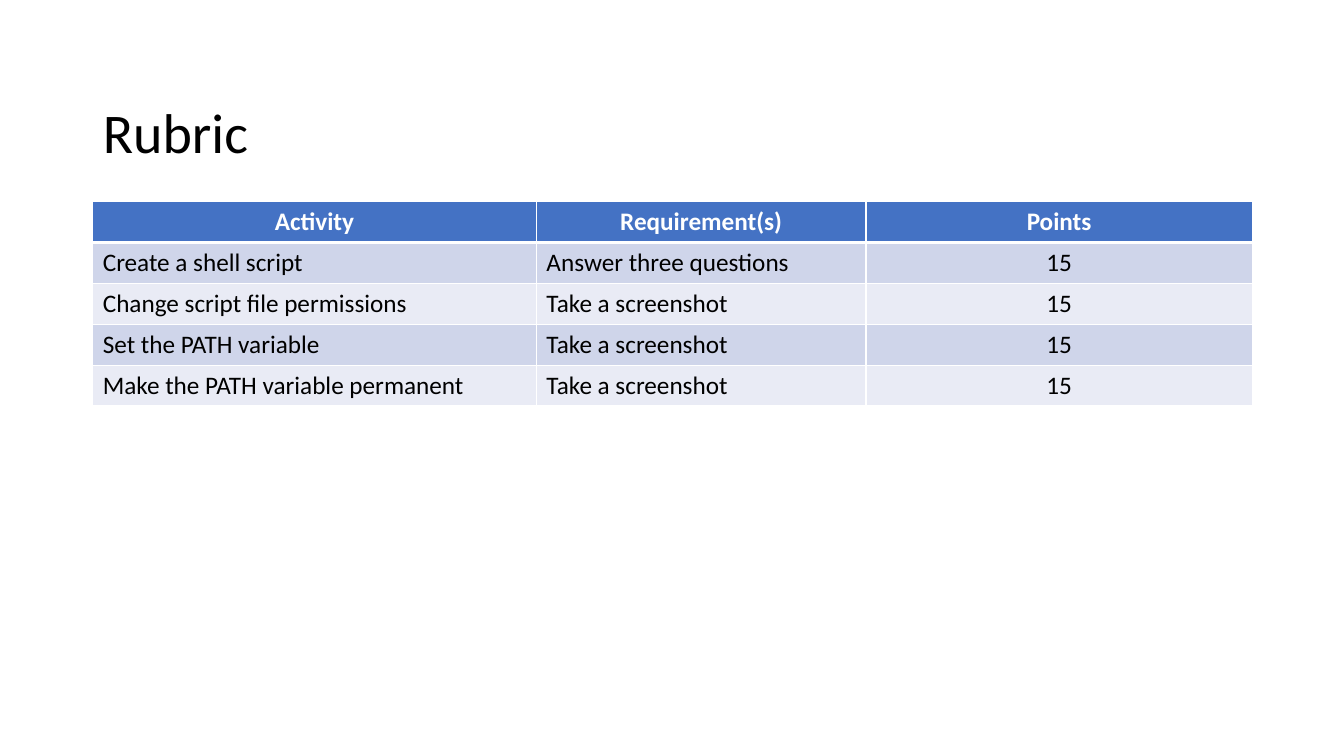
"""Build the rubric slide: a title above a table of activities, requirements and points."""
from dataclasses import dataclass
from typing import Any

from lxml import etree
from pptx import Presentation
from pptx import util as u
from pptx.dml import color
from pptx.enum import text
from pptx.oxml import ns


@dataclass(frozen=True)
class Theme:
    font: str = "Calibri"
    ink: str = "000000"
    paper: str = "FFFFFF"
    header: str = "4472C4"
    bands: tuple[str, str] = ("CFD5EA", "E9EBF5")
    title_size: int = 40
    table_size: int = 18
    rule: int = 1
    header_rule: int = 3


@dataclass(frozen=True)
class Criterion:
    activity: str
    requirement: str
    points: str


@dataclass(frozen=True)
class Column:
    field: str
    heading: str
    width: float
    align: Any


THEME = Theme()
LEFT, WIDTH = 0.92, 11.5
TABLE_TOP, ROW_HEIGHT = 2, 0.405
COLUMNS = (
    Column("activity", "Activity", 4.4, text.PP_ALIGN.LEFT),
    Column("requirement", "Requirement(s)", 3.27, text.PP_ALIGN.LEFT),
    Column("points", "Points", 3.83, text.PP_ALIGN.CENTER),
)
CRITERIA = (
    Criterion("Create a shell script", "Answer three questions", "15"),
    Criterion("Change script file permissions", "Take a screenshot", "15"),
    Criterion("Set the PATH variable", "Take a screenshot", "15"),
    Criterion("Make the PATH variable permanent", "Take a screenshot", "15"),
)


def apply(target: Any, formats: dict[str, Any]) -> None:
    for name, value in formats.items():
        setattr(target, name, value)


def write(para: Any, words: str, size: int, ink: str, bold: bool, align: Any) -> None:
    para.alignment = align
    span = para.add_run()
    span.text = words
    apply(span.font, {"name": THEME.font, "size": u.Pt(size), "bold": bold})
    span.font.color.rgb = color.RGBColor.from_string(ink)


def add_borders(cell: Any, row: int) -> None:
    properties = cell._tc.get_or_add_tcPr()
    heavy_row = {"lnB": 0, "lnT": 1}
    for side in ("lnL", "lnR", "lnT", "lnB"):
        points = THEME.header_rule if heavy_row.get(side) == row else THEME.rule
        line = etree.SubElement(properties, ns.qn(f"a:{side}"), w=str(u.Pt(points)))
        fill = etree.SubElement(line, ns.qn("a:solidFill"))
        etree.SubElement(fill, ns.qn("a:srgbClr"), val=THEME.paper)


def add_title(page: Any, words: str) -> None:
    title = page.shapes.title
    apply(title, {"left": u.Inches(LEFT), "top": u.Inches(0.83),
                  "width": u.Inches(WIDTH), "height": u.Inches(1.02)})
    apply(title.text_frame, {"vertical_anchor": text.MSO_ANCHOR.MIDDLE, "word_wrap": True})
    para = title.text_frame.paragraphs[0]
    para.line_spacing = 0.9
    write(para, words, THEME.title_size, THEME.ink, False, text.PP_ALIGN.LEFT)


def add_rubric(page: Any) -> None:
    count = len(CRITERIA) + 1
    table = page.shapes.add_table(
        count, len(COLUMNS), u.Inches(LEFT), u.Inches(TABLE_TOP),
        u.Inches(WIDTH), u.Inches(ROW_HEIGHT * count)).table
    for index, column in enumerate(COLUMNS):
        table.columns[index].width = u.Inches(column.width)
        for row in range(count):
            cell = table.cell(row, index)
            add_borders(cell, row)
            cell.fill.solid()
            fill = THEME.bands[(row - 1) % 2] if row else THEME.header
            cell.fill.fore_color.rgb = color.RGBColor.from_string(fill)
            words = getattr(CRITERIA[row - 1], column.field) if row else column.heading
            ink = THEME.ink if row else THEME.paper
            align = column.align if row else text.PP_ALIGN.CENTER
            write(cell.text_frame.paragraphs[0], words, THEME.table_size, ink, row == 0, align)


def main() -> None:
    deck = Presentation()
    apply(deck, {"slide_width": u.Inches(13.33), "slide_height": u.Inches(7.5)})
    page = deck.slides.add_slide(deck.slide_layouts.get_by_name("Title Only"))
    add_title(page, "Rubric")
    add_rubric(page)
    deck.save("out.pptx")


if __name__ == "__main__":
    main()
